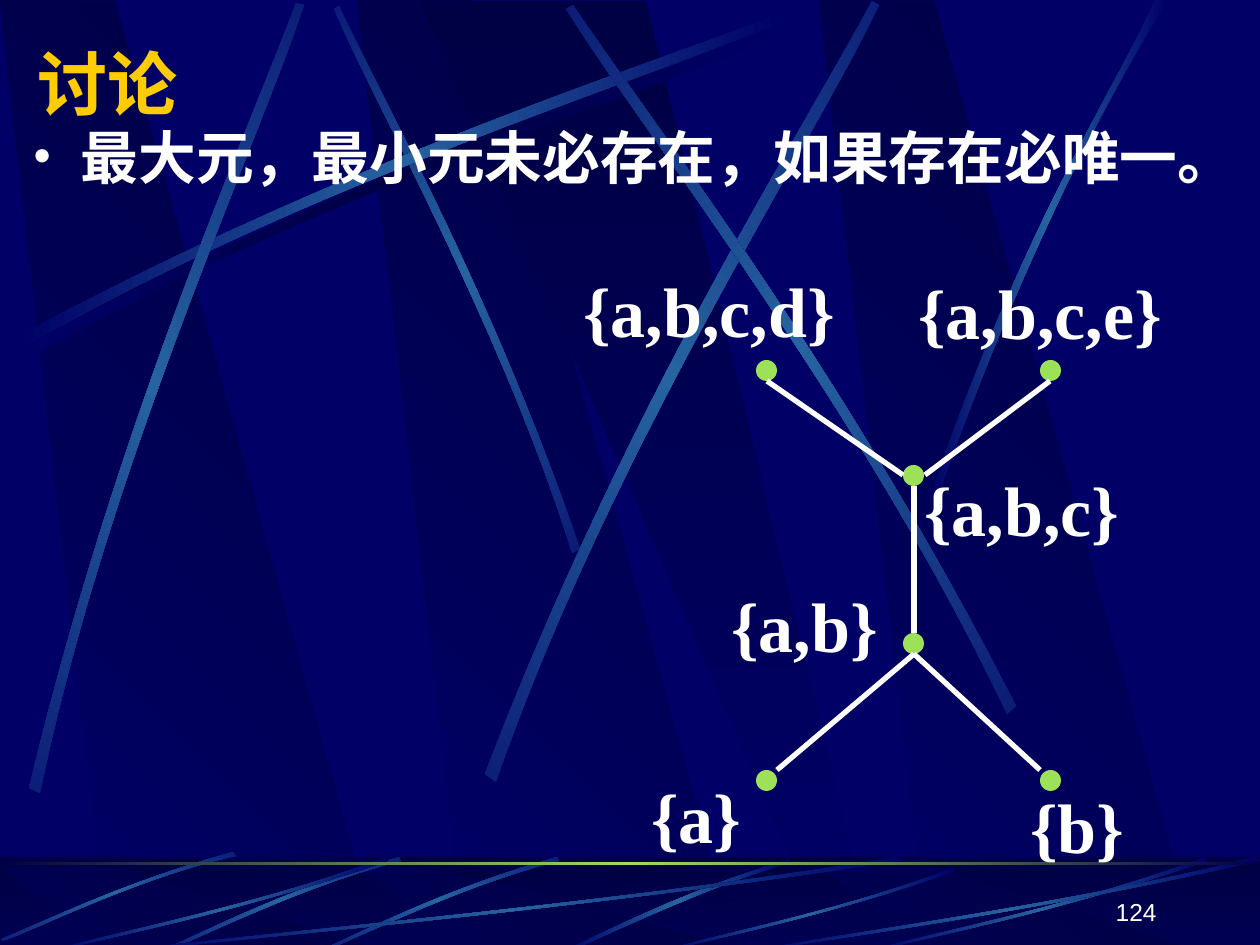
import math

from lxml import etree
from pptx import Presentation, util as u
from pptx.dml.color import RGBColor
from pptx.enum import shapes, text
from pptx.oxml.ns import qn

SCALE = 914400 / 126  # EMU in one px
WIDTH, HEIGHT = 1260, 945
FLOOR = 857
COLOURS = {"navy": "000066", "dark": "000044", "streak": "2663A0",
           "green": "9CE157", "white": "FFFFFF", "gold": "FFCC00"}
CJK = "Noto Sans CJK SC"
GLOW = ("navy", "streak", "navy")
SHADE = ("navy", "dark", "navy")

# Each streak: rotation, one edge as a Bezier curve, then the edge back
BEAM = (0, [(18, 336), (350, 158), (653, 64), (781, 13)],
        [(785, 20), (658, 77), (312, 180), (21, 349)])
STREAKS = [
    (45, [(580, 549), (493, 295), (381, 97), (339, 6)],
     [(334, 9), (372, 100), (501, 325), (572, 553)]),
    BEAM,
    (311.7, [(29, 788), (117, 421), (248, 132), (296, 3)],
     [(304, 5), (261, 137), (108, 464), (40, 793)]),
    (321.6, [(485, 774), (627, 403), (804, 129), (872, 1)],
     [(879, 5), (818, 136), (612, 447), (496, 782)]),
    (34.7, [(1016, 706), (844, 369), (650, 120), (573, 5)],
     [(566, 9), (639, 127), (863, 410), (1007, 714)]),
    (0, [(930, 496), (1026, 218), (1119, 83), (1155, 0)],
     [(1168, 0), (1053, 183), (969, 406), (937, 500)]),
]
REED = (315, [(557, 857), (447, 888), (362, 932), (323, 949)],
        [(324, 951), (363, 936), (460, 886), (559, 861)])
FLOOR_STREAKS = [
    (0, [(790, 859), (677, 893), (601, 935), (564, 950)],
     [(571, 951), (617, 930), (719, 882), (791, 863)]),
    REED,
    (315, [(233, 852), (123, 882), (40, 924), (1, 939)],
     [(3, 941), (42, 927), (137, 878), (236, 856)]),
]
# Flat sweeps share one outline, stretched to left, top, width, height
SWEEP = ([(1, .04), (.57, .57), (.17, .85), (.01, 1)],
         [(0, .99), (.17, .81), (.62, .51), (.99, 0)])
SWEEP_BOXES = [(126, 857, 777, 94), (53, 857, 336, 94), (664, 868, 291, 83),
               (872, 857, 336, 94), (756, 857, 504, 94)]

NODE = 21
NODES = [(903, 465), (903, 633), (756, 360), (1040, 360), (756, 770), (1040, 770)]
EDGES = [(914, 486, 914, 633), (767, 381, 903, 475), (1050, 381, 925, 475),
         (914, 654, 777, 770), (914, 654, 1040, 770)]
LABELS = [("{a}", 639, 751, 127), ("{b}", 1018, 761, 132),
          ("{a,b}", 719, 560, 184), ("{a,b,c}", 912, 444, 233),
          ("{a,b,c,d}", 571, 245, 290), ("{a,b,c,e}", 906, 247, 281)]


def px(*lengths):
    return [u.Emu(round(length * SCALE)) for length in lengths]


def colour(name):
    return RGBColor.from_string(COLOURS[name])


def plain(shape):
    shape.shadow.inherit = False
    shape.line.fill.background()


def paint_gradient(shape, names, angle):
    """Evenly spaced colours; the angle runs counter-clockwise."""
    shape.fill.gradient()
    shape.fill.gradient_angle = angle
    stops = shape._element.spPr.find(qn("a:gradFill")).find(qn("a:gsLst"))
    for stop in list(stops):
        stops.remove(stop)
    for index, name in enumerate(names):
        position = str(100000 * index // (len(names) - 1))
        stop = etree.SubElement(stops, qn("a:gs"), pos=position)
        etree.SubElement(stop, qn("a:srgbClr"), val=COLOURS[name])


def turn(point, degrees):
    angle = math.radians(degrees)
    x, y = point
    return (x * math.cos(angle) - y * math.sin(angle),
            x * math.sin(angle) + y * math.cos(angle))


def add_outline(page, points, names, angle):
    points = [px(*point) for point in points]
    builder = page.shapes.build_freeform(*points[0])
    builder.add_line_segments(points[1:], close=True)
    shape = builder.convert_to_shape()
    plain(shape)
    paint_gradient(shape, names, angle)
    return shape


def bend_edges(shape):
    """Join the three segments of each long edge into one Bezier curve."""
    segments = list(shape._element.spPr.iter(qn("a:lnTo")))
    for edge in (segments[:3], segments[4:7]):
        curve = etree.Element(qn("a:cubicBezTo"))
        edge[0].addprevious(curve)
        for segment in edge:
            curve.append(segment[0])
            segment.getparent().remove(segment)


def add_streak(page, rotation, edge, back, names=GLOW, shift=(0, 0)):
    """Draw the streak level, then rotate it so its gradient runs along it."""
    points = [turn((x + shift[0], y + shift[1]), -rotation) for x, y in edge + back]
    shape = add_outline(page, points, names, 0)
    bend_edges(shape)
    if rotation:
        centre = turn((shape.left + shape.width / 2,
                       shape.top + shape.height / 2), rotation)
        shape.left = round(centre[0] - shape.width / 2)
        shape.top = round(centre[1] - shape.height / 2)
        shape.rotation = rotation


def add_slabs(page, top, bottom):
    for left in (357, 0, 819):
        add_outline(page, [(left + 108, bottom), (left + 380, bottom),
                           (left + 115, top), (left, top)], ("navy", "dark"), 45)
    add_outline(page, [(420, top), (829, bottom), (874, bottom), (646, top)],
                ("dark", "navy"), 270)


def add_preset(page, kind, *box):
    shape = page.shapes.add_shape(kind, *px(*box))
    plain(shape)
    return shape


def add_backdrop(page):
    page.background.fill.solid()
    page.background.fill.fore_color.rgb = colour("navy")
    add_slabs(page, 1, 948)
    add_streak(page, *BEAM, names=SHADE, shift=(8, 10))
    for streak in STREAKS:
        add_streak(page, *streak)
    # Floor with its own slabs under a half-clear veil
    rectangle = shapes.MSO_SHAPE.RECTANGLE
    floor = (0, FLOOR, WIDTH, 94)
    paint_gradient(add_preset(page, rectangle, *floor), ("dark", "navy"), 270)
    add_slabs(page, 867, 951)
    veil = add_preset(page, rectangle, *floor)
    veil.fill.solid()
    veil.fill.fore_color.rgb = colour("dark")
    tint = veil._element.spPr.find(qn("a:solidFill"))[0]
    etree.SubElement(tint, qn("a:alpha"), val="50000")
    for streak in FLOOR_STREAKS:
        add_streak(page, *streak)
    add_streak(page, *REED, shift=(-158, 0))
    for left, top, width, height in SWEEP_BOXES:
        edges = [[(left + x * width, top + y * height) for x, y in edge]
                 for edge in SWEEP]
        add_streak(page, 0, *edges)
    horizon = add_preset(page, rectangle, 0, 862, WIDTH, 3)
    paint_gradient(horizon, ("dark", "green", "dark"), 0)


def write(box, words, size, font, name="white", bold=True, align=text.PP_ALIGN.LEFT):
    box.text_frame.text = words
    para = box.text_frame.paragraphs[0]
    para.alignment = align
    para.space_before = u.Pt(0)
    span = para.runs[0]
    span.font.size, span.font.bold, span.font.name = u.Pt(size), bold, font
    span.font.color.rgb = colour(name)
    return para


def place(page, box, *frame):
    """Bring a placeholder to the front at its frame."""
    box.left, box.top, box.width, box.height = px(*frame)
    box.text_frame.auto_size = text.MSO_AUTO_SIZE.NONE
    page.shapes._spTree.append(box._element)


def use_cjk(para):
    latin = para.runs[0]._r.rPr.find(qn("a:latin"))
    latin.addnext(latin.makeelement(qn("a:ea"), {"typeface": CJK}))


def add_body(page):
    body = page.placeholders[1]
    place(page, body, 21, 115, 1219, 725)
    para = write(body, "最大元，最小元未必存在，如果存在必唯一。", 33, "Arial")
    use_cjk(para)
    indent = px(47)[0]
    props = para._p.get_or_add_pPr()
    props.set("marL", str(indent))
    props.set("indent", str(-indent))
    etree.SubElement(props, qn("a:buSzPct"), val="85000")
    etree.SubElement(props, qn("a:buChar"), char="•")


def add_title(page):
    title = page.shapes.title
    place(page, title, 25, 34, 1071, 97)
    title.text_frame.vertical_anchor = text.MSO_ANCHOR.MIDDLE
    use_cjk(write(title, "讨论", 40, CJK, "gold"))


def add_diagram(page):
    for left, top in NODES:
        node = add_preset(page, shapes.MSO_SHAPE.OVAL, left, top, NODE, NODE)
        node.fill.solid()
        node.fill.fore_color.rgb = colour("green")
    for ends in EDGES:
        edge = page.shapes.add_connector(shapes.MSO_CONNECTOR.STRAIGHT, *px(*ends))
        edge.line.color.rgb = colour("white")
        edge.line.width = u.Pt(3)
        etree.SubElement(edge._element.spPr, qn("a:effectLst"))
    for words, left, top, width in LABELS:
        label = page.shapes.add_textbox(*px(left, top, width, 113))
        label.text_frame.word_wrap = False
        write(label, words, 40, "Times New Roman").line_spacing = 1.2


def add_page_number(page):
    number = page.shapes.add_textbox(*px(907, 870, 262, 63))
    number.text_frame.word_wrap = True
    number.text_frame.vertical_anchor = text.MSO_ANCHOR.BOTTOM
    write(number, "124", 14, "Arial", bold=False, align=text.PP_ALIGN.RIGHT)


def main():
    deck = Presentation()
    deck.slide_width, deck.slide_height = px(WIDTH, HEIGHT)
    page = deck.slides.add_slide(deck.slide_layouts[1])
    add_backdrop(page)
    add_body(page)
    add_diagram(page)
    add_page_number(page)
    add_title(page)
    deck.save("out.pptx")


if __name__ == "__main__":
    main()
